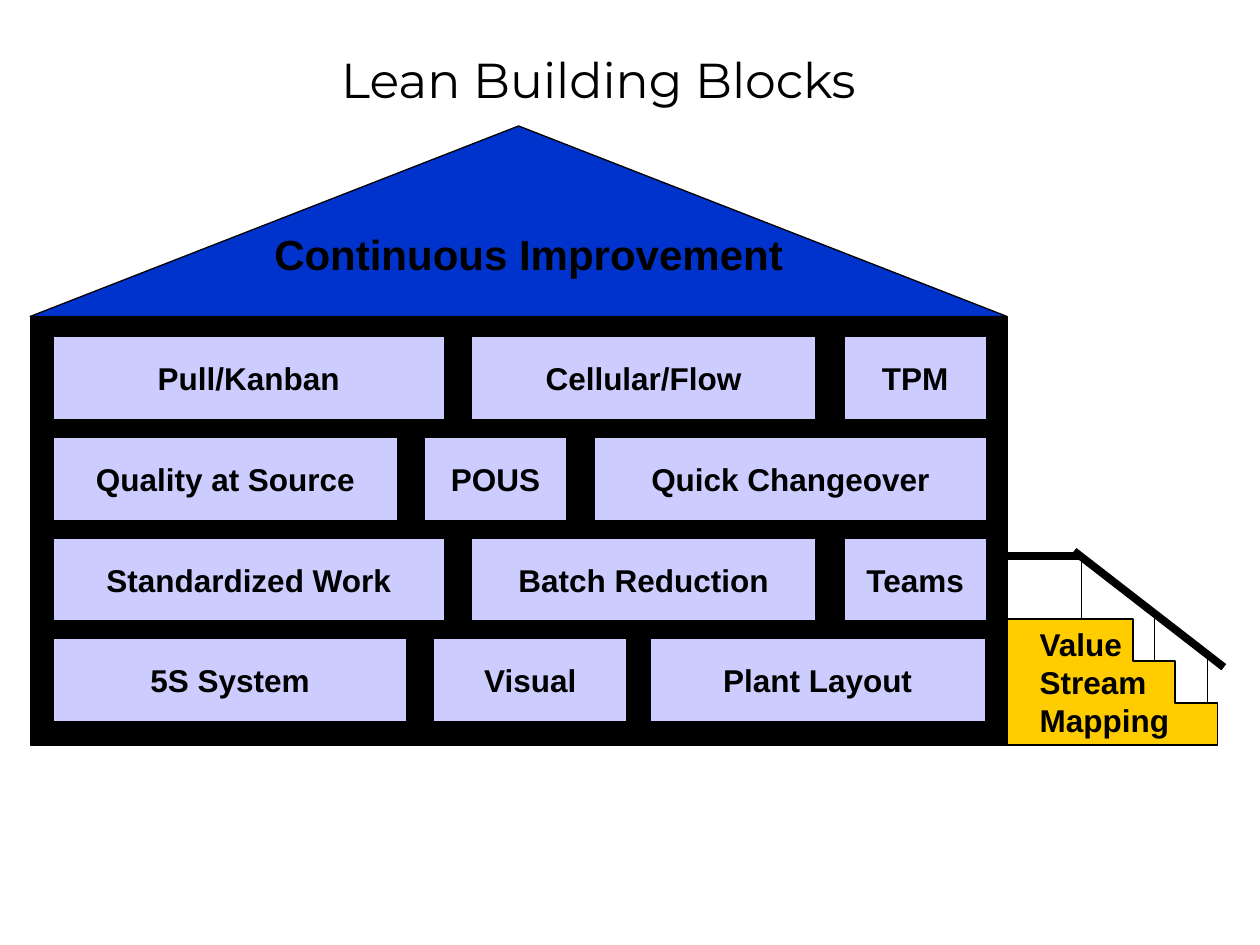
import pptx
import pptx.dml.color
import pptx.enum.shapes
import pptx.enum.text
import pptx.oxml.ns
import pptx.util
from lxml import etree

Cm, Pt = pptx.util.Cm, pptx.util.Pt
MSO_SHAPE = pptx.enum.shapes.MSO_SHAPE
ALIGN = pptx.enum.text.PP_ALIGN
ANCHOR = pptx.enum.text.MSO_ANCHOR

COLORS = {"ink": "000000", "roof": "0033CC", "block": "CCCCFF", "stairs": "FFCC00"}

# Each block: label, left edge from the wall, width (cm)
BLOCK_ROWS = [
    [("Pull/Kanban", 0.43, 7.95), ("Cellular/Flow", 8.86, 7.01), ("TPM", 16.38, 2.92)],
    [("Quality at Source", 0.43, 7.01), ("POUS", 7.92, 2.92),
     ("Quick Changeover", 11.35, 7.95)],
    [("Standardized Work", 0.43, 7.95), ("Batch Reduction", 8.86, 7.01),
     ("Teams", 16.38, 2.92)],
    [("5S System", 0.45, 7.16), ("Visual", 8.1, 3.96), ("Plant Layout", 12.47, 6.81)],
]


def rgb(name):
    return pptx.dml.color.RGBColor.from_string(COLORS[name])


def paint(sp, fill, line_width=0.75):
    sp.shadow.inherit = False
    sp.fill.solid()
    sp.fill.fore_color.rgb = rgb(fill)
    sp.line.color.rgb = rgb("ink")
    sp.line.width = Pt(line_width)


def add_box(s, kind, left, top, width, height, fill, line_width=0.75):
    sp = s.shapes.add_shape(kind, Cm(left), Cm(top), Cm(width), Cm(height))
    paint(sp, fill, line_width)
    return sp


def write(sp, lines, size, align=ALIGN.LEFT, anchor=ANCHOR.MIDDLE,
          font="Arial", bold=True, wrap=True):
    tf = sp.text_frame
    tf.word_wrap = wrap
    tf.vertical_anchor = anchor
    for i, line in enumerate(lines):
        p = tf.add_paragraph() if i else tf.paragraphs[0]
        p.alignment = align
        r = p.add_run()
        r.text = line
        r.font.name = font
        r.font.size = Pt(size)
        r.font.bold = bold
        r.font.color.rgb = rgb("ink")


def add_text(s, left, top, width, height, lines, size, **style):
    sp = s.shapes.add_textbox(Cm(left), Cm(top), Cm(width), Cm(height))
    write(sp, lines, size, **style)


def add_line(s, x1, y1, x2, y2, width):
    line = s.shapes.add_connector(pptx.enum.shapes.MSO_CONNECTOR.STRAIGHT,
                                  Cm(x1), Cm(y1), Cm(x2), Cm(y2))
    line.line.color.rgb = rgb("ink")
    line.line.width = Pt(width)
    etree.SubElement(line._element.spPr, pptx.oxml.ns.qn("a:effectLst"))


def add_roof(s, left, top, width, height):
    add_box(s, MSO_SHAPE.ISOSCELES_TRIANGLE, left, top, width, height, "roof")
    add_text(s, left + 4.67, top + 1.93, 10.77, 1.27, ["Continuous Improvement"], 24,
             wrap=False)


def add_wall(s, left, top, width, height):
    add_box(s, MSO_SHAPE.RECTANGLE, left, top, width, height, "ink")
    row_pitch, block_height = 2.03, 1.73
    for i, row in enumerate(BLOCK_ROWS):
        for label, dx, block_width in row:
            sp = add_box(s, MSO_SHAPE.RECTANGLE, left + dx, top + 0.38 + i * row_pitch,
                         block_width, block_height, "block", 2.25)
            write(sp, [label], 18, align=ALIGN.CENTER)


def add_stairs(s, left, top, width, height):
    """Three steps with a handrail, leading up to the wall."""
    for dx, dy in [(4.04, 0.64), (2.97, -0.2), (1.5, -1.17)]:
        add_line(s, left + dx, top + dy, left + dx, top + dy + 1.17, 0.75)

    tread, rise = 0.85, height / 3
    outline = []
    for step in range(3):
        x = left + width - (2 - step) * tread
        outline += [(x, top + step * rise), (x, top + (step + 1) * rise)]
    outline.append((left, top + height))
    builder = s.shapes.build_freeform(Cm(left), Cm(top))
    builder.add_line_segments([(Cm(x), Cm(y)) for x, y in outline], close=True)
    paint(builder.convert_to_shape(), "stairs")

    add_text(s, left + 0.41, top, 3.12, height, ["Value", "Stream", "Mapping"], 18,
             anchor=ANCHOR.TOP, wrap=False)
    add_line(s, left - 0.2, top - 1.27, left + 1.5, top - 1.27, 4.5)
    add_line(s, left + 1.35, top - 1.37, left + 4.37, top + 0.97, 4.5)


def main():
    prs = pptx.Presentation()
    prs.slide_width, prs.slide_height = Cm(25.4), Cm(19.05)
    s = prs.slides.add_slide(prs.slide_layouts[6])
    add_roof(s, 0.61, 2.54, 19.69, 3.84)
    add_wall(s, 0.61, 6.38, 19.69, 8.64)
    add_stairs(s, 20.3, 12.48, 4.24, 2.54)
    add_text(s, 1.27, 0, 21.59, 3.18, ["Lean Building Blocks"], 28,
             align=ALIGN.CENTER, font="Montserrat", bold=False)
    prs.save("out.pptx")


if __name__ == "__main__":
    main()
